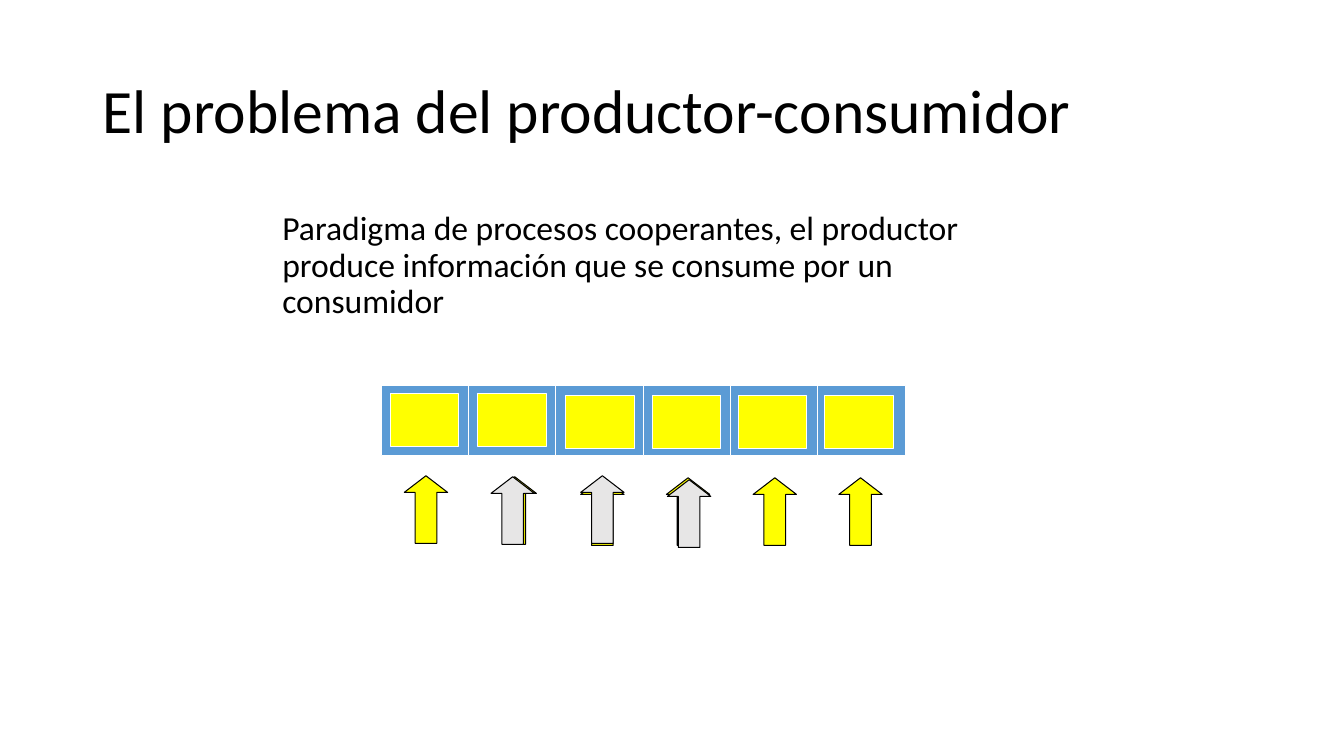
import pptx
import pptx.util
import pptx.dml.color
import pptx.enum.shapes
import pptx.enum.text
from pptx.util import Inches

RGBColor = pptx.dml.color.RGBColor
SHAPE = pptx.enum.shapes.MSO_SHAPE
ANCHOR = pptx.enum.text.MSO_ANCHOR

BLACK = RGBColor(0x00, 0x00, 0x00)
WHITE = RGBColor(0xFF, 0xFF, 0xFF)
BLUE = RGBColor(0x5B, 0x9B, 0xD5)
YELLOW = RGBColor(0xFF, 0xFF, 0x00)
GRAY = RGBColor(0xE7, 0xE6, 0xE6)

SLOT_LEFT, SLOT_TOP, SLOT_PITCH, SLOT_COUNT = 3.78, 3.82, 0.866, 6
# Left and top of the item and the arrow of each slot
ITEMS = [(3.87, 3.9), (4.74, 3.9), (5.61, 3.92),
         (6.47, 3.92), (7.32, 3.92), (8.18, 3.92)]
ARROWS = [(4.01, 4.72), (4.89, 4.73), (5.76, 4.74),
          (6.61, 4.74), (7.47, 4.74), (8.32, 4.74)]
GRAY_ARROWS = [(4.87, 4.73), (5.76, 4.72), (6.62, 4.76)]


def fill_placeholder(sp, text, box, *, size, anchor, before=0):
    """Place a placeholder and give it one left-aligned, unbulleted paragraph."""
    sp.left, sp.top, sp.width, sp.height = map(Inches, box)
    tf = sp.text_frame
    tf.word_wrap = True
    tf.auto_size = pptx.enum.text.MSO_AUTO_SIZE.NONE
    tf.vertical_anchor = anchor
    p = tf.paragraphs[0]
    p.alignment = pptx.enum.text.PP_ALIGN.LEFT
    p.line_spacing = 0.9
    p.space_before = pptx.util.Pt(before)
    pPr = p._p.get_or_add_pPr()
    pPr.set("marL", "0")
    pPr.set("indent", "0")
    pPr.append(pptx.oxml.parse_xml(
        '<a:buNone xmlns:a="http://schemas.openxmlformats.org/drawingml/2006/main"/>'))
    r = p.add_run()
    r.text = text
    r.font.name = "Calibri"
    r.font.size = pptx.util.Pt(size)
    r.font.color.rgb = BLACK


def add_figure(shapes, kind, left, top, width, height, fill, line):
    sp = shapes.add_shape(kind, Inches(left), Inches(top),
                          Inches(width), Inches(height))
    sp.shadow.inherit = False
    sp.fill.solid()
    sp.fill.fore_color.rgb = fill
    sp.line.color.rgb = line
    sp.line.width = pptx.util.Pt(0.75)
    return sp


def add_buffer(s):
    slots = s.shapes.add_group_shape().shapes
    for i in range(SLOT_COUNT):
        add_figure(slots, SHAPE.RECTANGLE, SLOT_LEFT + i * SLOT_PITCH, SLOT_TOP,
                   0.87, 0.7, BLUE, WHITE)


def add_item(s, left, top):
    add_figure(s.shapes, SHAPE.RECTANGLE, left, top, 0.68, 0.53, YELLOW, WHITE)


def add_arrow(s, left, top, fill):
    sp = add_figure(s.shapes, SHAPE.UP_ARROW, left, top, 0.43, 0.67, fill, BLACK)
    sp.adjustments[0] = 0.5
    sp.adjustments[1] = 0.384


def main():
    prs = pptx.Presentation()
    prs.slide_width, prs.slide_height = Inches(13.33), Inches(7.5)
    s = prs.slides.add_slide(prs.slide_layouts[1])
    fill_placeholder(s.shapes.title, "El problema del productor-consumidor",
                     (0.92, 0.4, 11.5, 1.45), size=44, anchor=ANCHOR.MIDDLE)
    fill_placeholder(s.placeholders[1],
                     "Paradigma de procesos cooperantes, el productor produce "
                     "información que se consume por un consumidor",
                     (2.7, 2.05, 7.54, 1.51), size=24, anchor=ANCHOR.TOP, before=10)
    add_buffer(s)
    for item, arrow in zip(ITEMS, ARROWS):
        add_item(s, *item)
        add_arrow(s, *arrow, YELLOW)
    for arrow in GRAY_ARROWS:
        add_arrow(s, *arrow, GRAY)
    prs.save("out.pptx")


if __name__ == "__main__":
    main()
